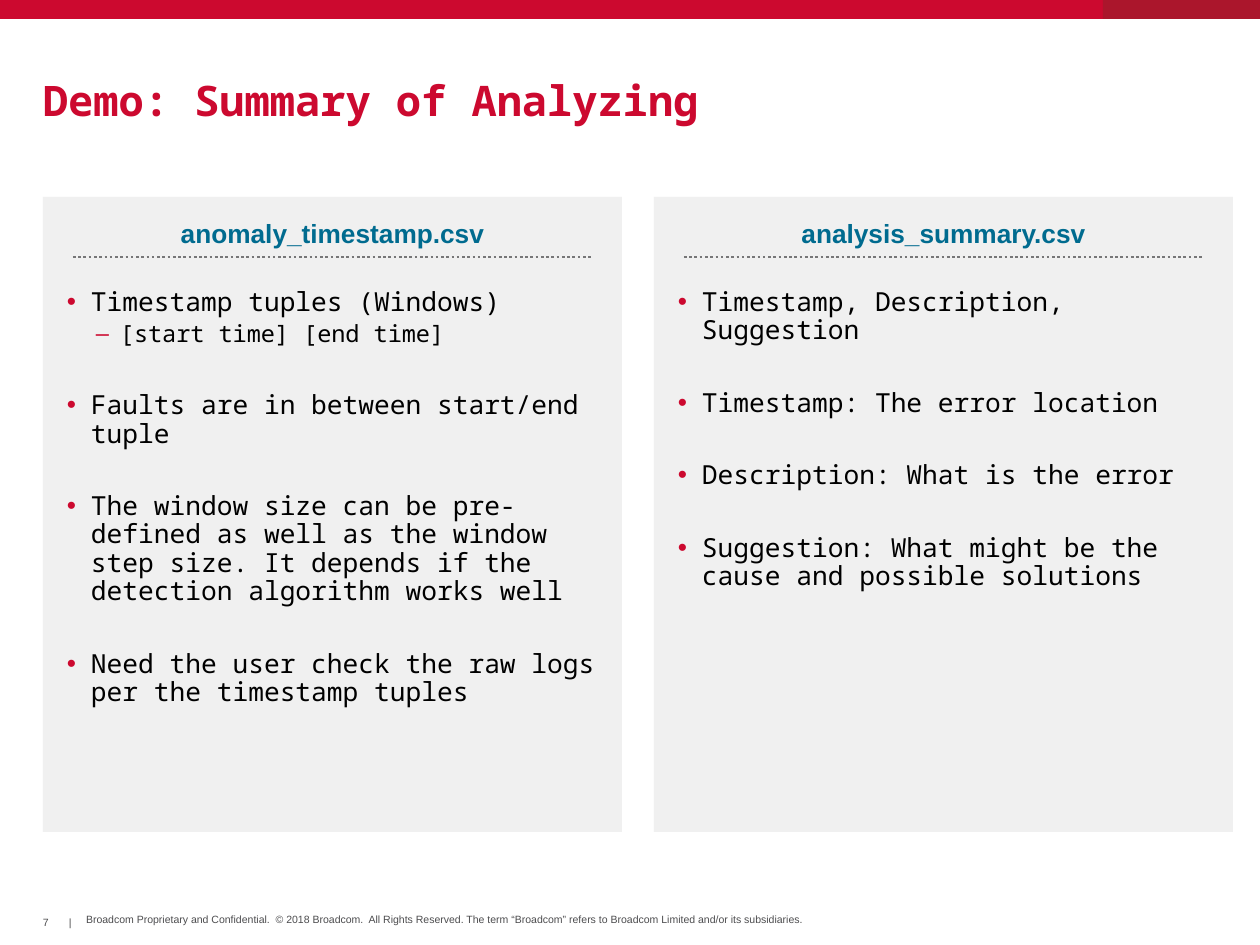
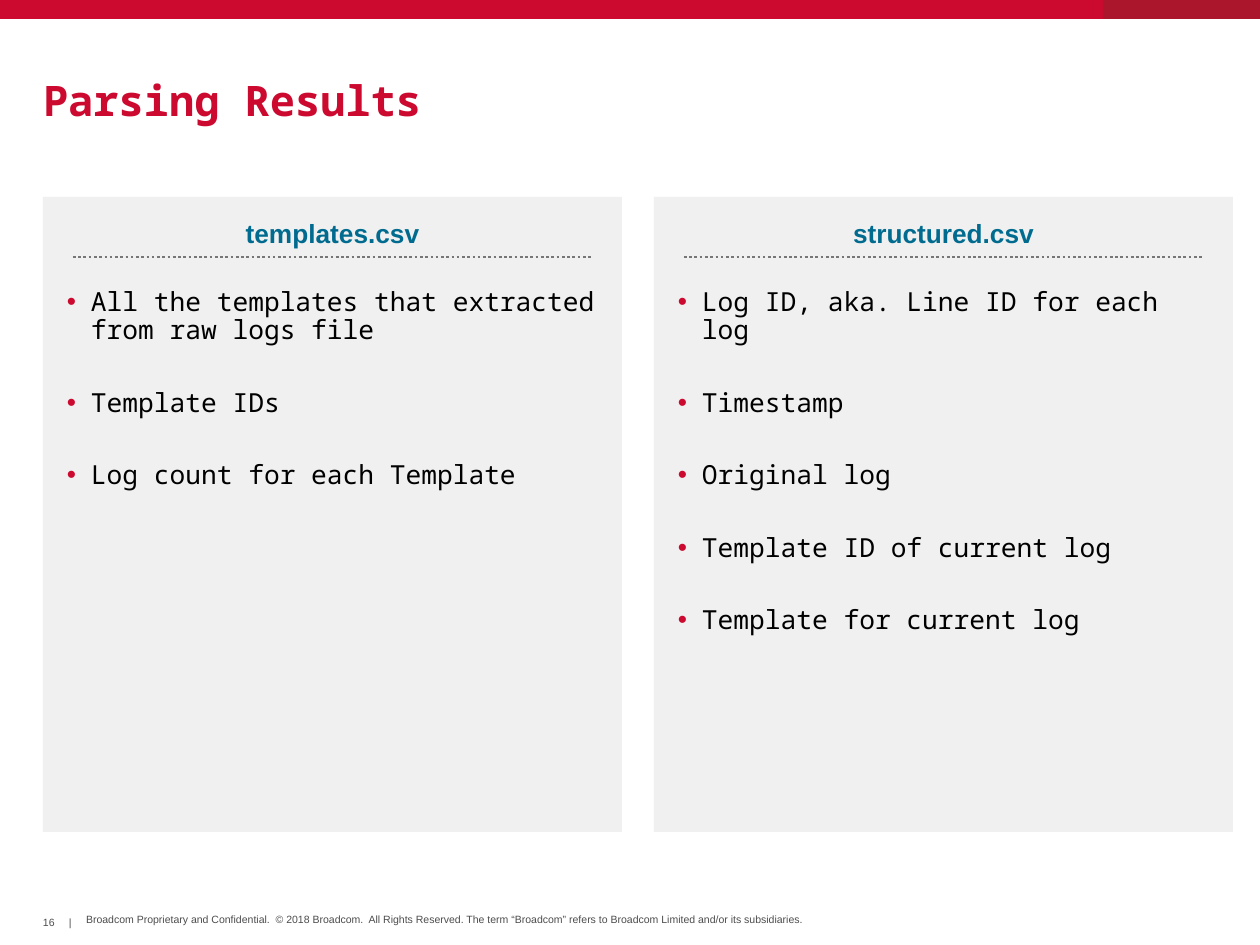
from dataclasses import dataclass

from lxml.etree import SubElement
from pptx import Presentation
from pptx.dml.color import RGBColor
from pptx.enum.dml import MSO_LINE
from pptx.enum.shapes import MSO_CONNECTOR, MSO_SHAPE
from pptx.enum.text import MSO_ANCHOR, MSO_AUTO_SIZE, PP_ALIGN
from pptx.oxml.ns import qn
from pptx.util import Emu, Pt

# Content: each panel is a heading and its (level, text) items
SLIDES = [
    {
        "title": "Demo: Summary of Analyzing",
        "page": "7",
        "panels": [
            ("anomaly_timestamp.csv", [
                (0, "Timestamp tuples (Windows)"),
                (1, "[start time] [end time]"),
                (0, "Faults are in between start/end tuple"),
                (0, "The window size can be pre-defined as well as the window "
                    "step size. It depends if the detection algorithm works well"),
                (0, "Need the user check the raw logs per the timestamp tuples"),
            ]),
            ("analysis_summary.csv", [
                (0, "Timestamp, Description, Suggestion"),
                (0, "Timestamp: The error location"),
                (0, "Description: What is the error"),
                (0, "Suggestion: What might be the cause and possible solutions"),
            ]),
        ],
    },
    {
        "title": "Parsing Results",
        "page": "16",
        "panels": [
            ("templates.csv", [
                (0, "All the templates that extracted from raw logs file"),
                (0, "Template IDs"),
                (0, "Log count for each Template"),
            ]),
            ("structured.csv", [
                (0, "Log ID, aka. Line ID for each log"),
                (0, "Timestamp"),
                (0, "Original log"),
                (0, "Template ID of current log"),
                (0, "Template for current log"),
            ]),
        ],
    },
]
NOTICE = ("Broadcom Proprietary and Confidential.  © 2018 Broadcom.  "
          "All Rights Reserved. The term “Broadcom” refers to "
          "Broadcom Limited and/or its subsidiaries.")


@dataclass(frozen=True)
class Theme:
    red: str = "CC092F"
    dark: str = "AB162C"
    teal: str = "006B8F"
    panel: str = "ECECEC"
    rule: str = "767677"
    note: str = "4D4D4F"
    ink: str = "000000"
    sans: str = "Arial"
    mono: str = "Noto Sans Mono"
    title: float = 24
    head: float = 15
    items: tuple = (15, 13.5)
    foot: float = 6


THEME = Theme()

# Layout in px
WIDE, HIGH = 1260, 945
LEFT = 43
BAND, TAB = 19, 157
TITLE = (LEFT, 82, 1172, 43)
TOP, PANEL_W, PANEL_H, STEP = 197, 579, 635, 611
PAD = 24
RULE_Y, RULE_IN, RULE_W = 257, 30, 518
HANG = 24
INDENTS = (24, 53)
MARKS = "•–"
FIRST, SUB, GAP = 4.5, 3, 25.2  # space before an item, in points


def px(n):
    return Emu(round(n * 914400 / 126))


def box(*rect):
    return [px(n) for n in rect]


def style(para, face, size, color, bold=False):
    font = para.font
    font.name, font.size, font.bold = face, Pt(size), bold
    font.color.rgb = RGBColor.from_string(color)


def frame(shape, pad=0, anchor=MSO_ANCHOR.TOP):
    text = shape.text_frame
    text.word_wrap = True
    text.auto_size = MSO_AUTO_SIZE.NONE
    text.vertical_anchor = anchor
    text.margin_left = text.margin_right = px(pad)
    text.margin_top = text.margin_bottom = px(pad)
    return text


def block(slide, rect, color):
    shape = slide.shapes.add_shape(MSO_SHAPE.RECTANGLE, *box(*rect))
    shape.shadow.inherit = False
    shape.fill.solid()
    shape.fill.fore_color.rgb = RGBColor.from_string(color)
    shape.line.fill.background()
    return shape


def bullet(para, level):
    props = para._p.get_or_add_pPr()
    props.set("marL", str(px(INDENTS[level])))
    props.set("indent", str(px(-HANG)))
    tint = SubElement(props, qn("a:buClr"))
    SubElement(tint, qn("a:srgbClr"), val=THEME.red)
    SubElement(props, qn("a:buFont"), typeface=THEME.sans)
    SubElement(props, qn("a:buChar"), char=MARKS[level])


def add_panel(slide, left, head, items):
    shape = block(slide, (left, TOP, PANEL_W, PANEL_H), THEME.panel)
    tint = shape._element.spPr.find(".//" + qn("a:srgbClr"))
    SubElement(tint, qn("a:alpha"), val="75000")

    # Heading
    text = frame(shape, PAD)
    para = text.paragraphs[0]
    para.text = head
    para.alignment = PP_ALIGN.CENTER
    para.line_spacing = 0.9
    para.space_after = Pt(18)
    style(para, THEME.sans, THEME.head, THEME.teal, True)

    # Items
    for i, (level, line) in enumerate(items):
        para = text.add_paragraph()
        para.text = line
        para.level = level
        bullet(para, level)
        para.alignment = PP_ALIGN.LEFT
        para.line_spacing = 0.9
        para.space_before = Pt(SUB if level else GAP if i else FIRST)
        style(para, THEME.mono, THEME.items[level], THEME.ink)

    # Dotted rule under the heading
    x = left + RULE_IN
    rule = slide.shapes.add_connector(
        MSO_CONNECTOR.STRAIGHT, *box(x, RULE_Y, x + RULE_W, RULE_Y))
    rule.line.color.rgb = RGBColor.from_string(THEME.rule)
    rule.line.width = Pt(1.5)
    rule.line.dash_style = MSO_LINE.ROUND_DOT
    SubElement(rule._element.spPr, qn("a:effectLst"))


def add_base(slide, page):
    # Top band
    block(slide, (0, 0, WIDE, BAND), THEME.red)
    block(slide, (WIDE - TAB, 0, TAB, BAND), THEME.dark)

    # Footer
    for words, x, y, w in ((page, LEFT, 916, 24), ("|", 69, 916, 10),
                           (NOTICE, 86, 913, 760)):
        para = frame(slide.shapes.add_textbox(*box(x, y, w, 13))).paragraphs[0]
        para.text = words
        style(para, THEME.sans, THEME.foot, THEME.note)


def add_title(slide, words):
    shape = slide.shapes.title
    shape.left, shape.top, shape.width, shape.height = box(*TITLE)
    para = frame(shape, anchor=MSO_ANCHOR.MIDDLE).paragraphs[0]
    para.text = words
    para.alignment = PP_ALIGN.LEFT
    para.line_spacing = 0.85
    style(para, THEME.mono, THEME.title, THEME.red, True)


def main():
    deck = Presentation()
    deck.slide_width, deck.slide_height = box(WIDE, HIGH)
    for data in SLIDES:
        slide = deck.slides.add_slide(deck.slide_layouts[5])
        add_base(slide, data["page"])
        add_title(slide, data["title"])
        for i, (head, items) in enumerate(data["panels"]):
            add_panel(slide, LEFT + i * STEP, head, items)
    deck.save("out.pptx")


if __name__ == "__main__":
    main()
